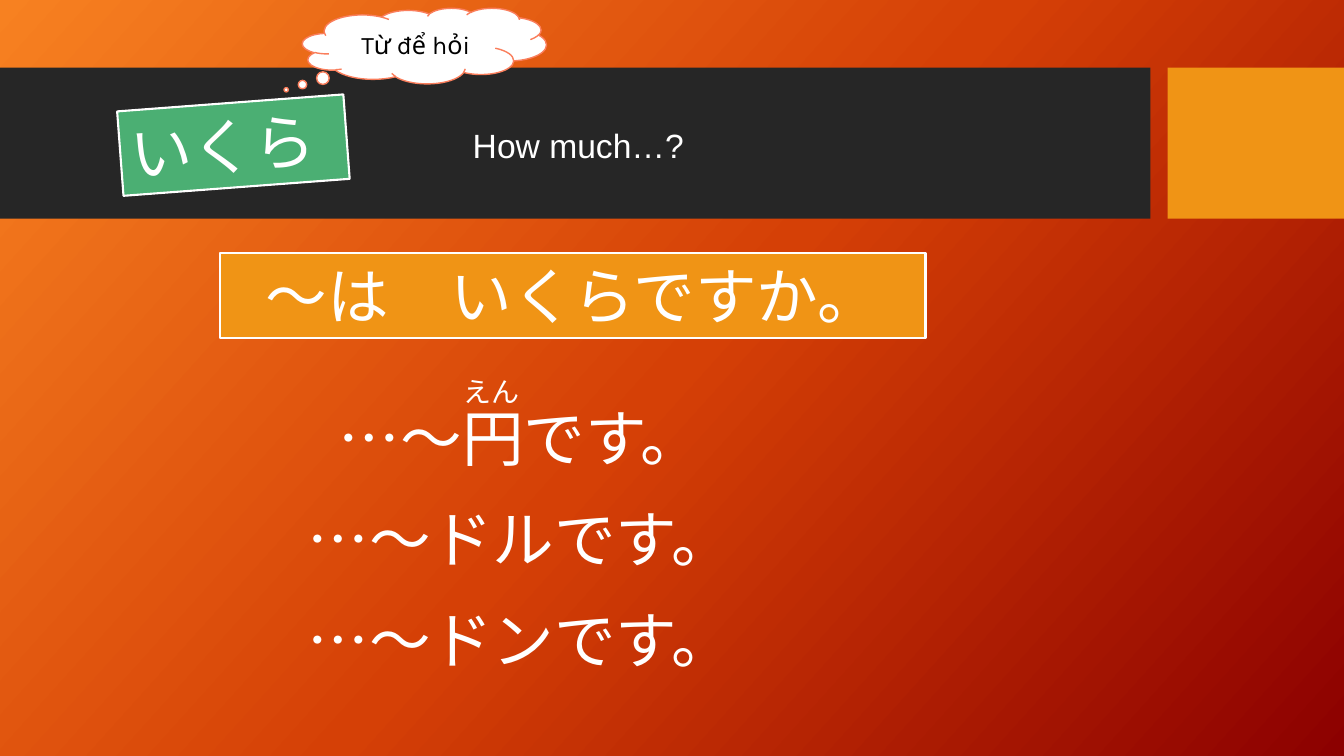
from copy import deepcopy
from pptx import Presentation
from pptx.dml.color import RGBColor
from pptx.enum import shapes, text
from pptx.oxml.ns import qn
from pptx.util import Inches, Pt

WHITE = RGBColor(0xFF, 0xFF, 0xFF)
BLACK = RGBColor(0, 0, 0)
DARK = RGBColor(0x26, 0x26, 0x26)
GOLD = RGBColor(0xF0, 0x94, 0x15)
GREEN = RGBColor(0x4B, 0xAF, 0x73)
CORAL = RGBColor(0xFA, 0x7E, 0x5C)
STOPS = [
    (0, RGBColor(0xF7, 0x81, 0x21)),
    (0.5, RGBColor(0xD5, 0x40, 0x06)),
    (1, RGBColor(0x8C, 0, 0)),
]
ANGLE = 42

BANDS = [((0, 0.67, 11.41, 1.5), DARK), ((11.58, 0.67, 1.75, 1.5), GOLD)]
WORD = "いくら"
HINT = "Từ để hỏi"
GLOSS = "How much…?"
ASK = "～は　いくらですか。"
READING = "えん"
REPLIES = ["…～円です。", "…～ドルです。", "…～ドンです。"]
TOP, STEP = 3.92, 1

LEFT, MID = text.PP_ALIGN.LEFT, text.PP_ALIGN.CENTER
RECT = shapes.MSO_SHAPE.RECTANGLE
CLOUD = shapes.MSO_SHAPE.CLOUD_CALLOUT


def add_shape(slide, kind, box, fill, line=None, width=1.5):
    shape = slide.shapes.add_shape(kind, *map(Inches, box))
    shape.shadow.inherit = False
    shape.fill.solid()
    shape.fill.fore_color.rgb = fill
    if line is None:
        shape.line.fill.background()
    else:
        shape.line.color.rgb = line
        shape.line.width = Pt(width)
    return shape


def add_label(slide, box, words, size, align=LEFT):
    label = slide.shapes.add_textbox(*map(Inches, box))
    write(label, words, size, align)


def write(shape, words, size, align=LEFT, color=WHITE, font="Arial", grow=True):
    frame = shape.text_frame
    frame.word_wrap = True
    if grow:
        frame.auto_size = text.MSO_AUTO_SIZE.SHAPE_TO_FIT_TEXT
        frame.vertical_anchor = text.MSO_ANCHOR.TOP
    else:
        frame.vertical_anchor = text.MSO_ANCHOR.MIDDLE
    line = frame.paragraphs[0]
    line.text = words
    line.alignment = align
    line.font.size = Pt(size)
    line.font.name = font
    line.font.color.rgb = color


def paint(slide):
    fill = slide.background.fill
    fill.gradient()
    fill.gradient_angle = 360 - ANGLE
    stops = slide.element.find(".//" + qn("a:gsLst"))
    stops.append(deepcopy(stops[-1]))
    for stop, (place, color) in zip(fill.gradient_stops, STOPS):
        stop.position = place
        stop.color.rgb = color


def main():
    deck = Presentation()
    deck.slide_width, deck.slide_height = Inches(13.33), Inches(7.5)
    slide = deck.slides.add_slide(deck.slide_layouts[6])
    paint(slide)

    for box, color in BANDS:
        add_shape(slide, RECT, box, color)

    word = add_shape(slide, RECT, (1.19, 1.02, 2.25, 0.84), GREEN, WHITE)
    word.rotation = 355.7
    write(word, WORD, 44)

    cloud = add_shape(slide, CLOUD, (3, 0.08, 2.42, 0.75), WHITE, CORAL, 1)
    cloud.adjustments[0] = -0.567
    cloud.adjustments[1] = 0.581
    write(cloud, HINT, 18, MID, BLACK, "Karla", False)

    add_label(slide, (4.59, 1.19, 3.08, 0.51), GLOSS, 24)
    ask = add_shape(slide, RECT, (2.18, 2.51, 7, 0.84), GOLD, WHITE)
    write(ask, ASK, 44, MID)

    for row, reply in enumerate(REPLIES):
        add_label(slide, (2.58, TOP + row * STEP, 5.17, 0.84), reply, 44, MID)
    add_label(slide, (4.5, 3.67, 0.92, 0.44), READING, 20)

    deck.save("out.pptx")


if __name__ == "__main__":
    main()
